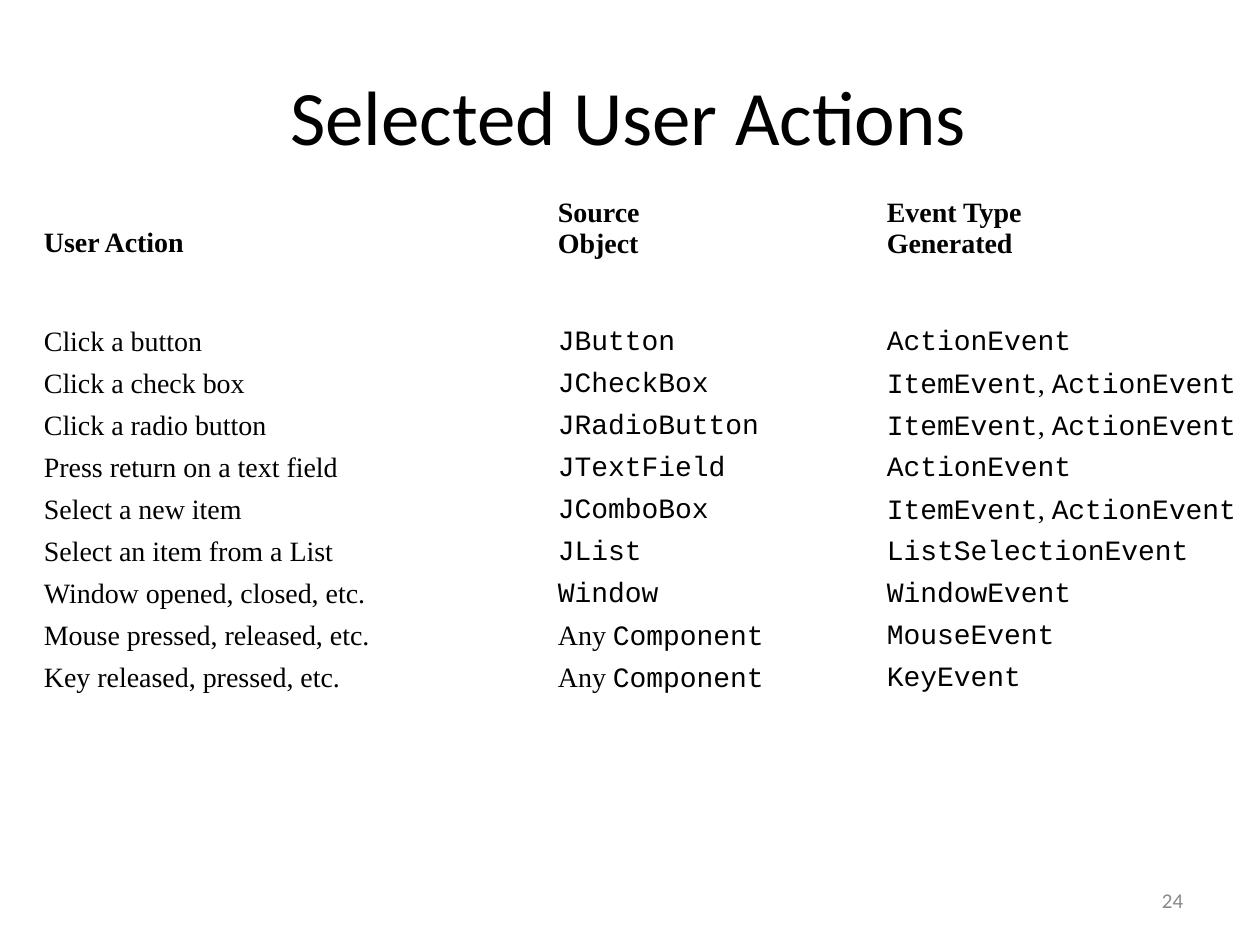
from pptx import Presentation
from pptx.dml.color import RGBColor
from pptx.enum.text import MSO_ANCHOR as Anchor, MSO_AUTO_SIZE as AutoSize, PP_ALIGN as Align
from pptx.util import Emu, Pt

PX = 914400 / 126
SERIF, MONO, SANS = "Times New Roman", "Courier New", "Calibri"
NO_STYLE = "{2D5ABB26-0587-4C30-8999-92F81FD0307C}"

HEADINGS = ["User Action", "Source\nObject", "Event Type\nGenerated"]
# Text between backticks is set as code
ACTIONS = [
    ("Click a button", "`JButton`", "`ActionEvent`"),
    ("Click a check box", "`JCheckBox`", "`ItemEvent`, `ActionEvent`"),
    ("Click a radio button", "`JRadioButton`", "`ItemEvent`, `ActionEvent`"),
    ("Press return on a text field", "`JTextField`", "`ActionEvent`"),
    ("Select a new item", "`JComboBox`", "`ItemEvent`, `ActionEvent`"),
    ("Select an item from a List", "`JList`", "`ListSelectionEvent`"),
    ("Window opened, closed, etc.", "`Window`", "`WindowEvent`"),
    ("Mouse pressed, released, etc.", "Any `Component`", "`MouseEvent`"),
    ("Key released, pressed, etc.", "Any `Component`", "`KeyEvent`"),
]
COLUMN_WIDTHS = [425, 360, 416]
COLUMN_INDENTS = [4, 93, 62]
ROW_HEIGHTS = [98, 72] + [42] * 7 + [38]


def px(length):
    return Emu(round(length * PX))


def color(hex_string):
    return RGBColor.from_string(hex_string)


def set_margins(target, left=0, top=0):
    margins = {"margin_left": left, "margin_top": top, "margin_right": 0, "margin_bottom": 0}
    for name, value in margins.items():
        setattr(target, name, px(value))


def add_run(paragraph, text, face, size, hex_string="000000", bold=False):
    run = paragraph.add_run()
    run.text = text
    for name, value in {"name": face, "size": Pt(size), "bold": bold}.items():
        setattr(run.font, name, value)
    run.font.color.rgb = color(hex_string)


def add_title(slide, left, top, width, height):
    title = slide.shapes.title
    title.left, title.top, title.width, title.height = map(px, (left, top, width, height))
    frame = title.text_frame
    set_margins(frame, left=167, top=1)
    frame.auto_size = AutoSize.NONE
    frame.vertical_anchor = Anchor.TOP
    heading = frame.paragraphs[0]
    heading.alignment = Align.LEFT
    add_run(heading, "Selected User Actions", SANS, 44)


def fill_cell(cell, text, indent, top, bold):
    cell.fill.background()
    cell.vertical_anchor = Anchor.TOP
    set_margins(cell, indent, top)
    lines = text.split("\n")
    for index, line in enumerate(lines):
        frame = cell.text_frame
        paragraph = frame.add_paragraph() if index else frame.paragraphs[0]
        if index < len(lines) - 1:
            paragraph.line_spacing = Pt(17.4)
        for part, words in enumerate(line.split("`")):
            if words:
                add_run(paragraph, words, MONO if part % 2 else SERIF, 16, bold=bold)


def add_actions_table(slide, left, top):
    rows = [HEADINGS] + ACTIONS
    frame = slide.shapes.add_table(
        len(rows), len(HEADINGS), px(left), px(top),
        px(sum(COLUMN_WIDTHS)), px(sum(ROW_HEIGHTS)))
    table = frame.table
    table.first_row = table.horz_banding = False
    table._tbl.tblPr.find("{*}tableStyleId").text = NO_STYLE
    for column, width in zip(table.columns, COLUMN_WIDTHS):
        column.width = px(width)
    for row, height in zip(table.rows, ROW_HEIGHTS):
        row.height = px(height)

    for r, texts in enumerate(rows):
        for c, text in enumerate(texts):
            # Single-line heading and first action sit lower in their rows
            if r == 0:
                cell_top = 0 if "\n" in text else 30
            else:
                cell_top = 31 if r == 1 else 1
            fill_cell(table.cell(r, c), text, COLUMN_INDENTS[c], cell_top, bold=r == 0)


def add_page_number(slide, left, top, width, height):
    frame = slide.shapes.add_textbox(*map(px, (left, top, width, height))).text_frame
    set_margins(frame, left=2)
    frame.word_wrap = True
    number = frame.paragraphs[0]
    number.line_spacing = Pt(12.4)
    add_run(number, "24", SANS, 12, "898989")


def main():
    deck = Presentation()
    deck.slide_width, deck.slide_height = px(1260), px(945)
    slide = deck.slides.add_slide(deck.slide_layouts[5])
    add_page_number(slide, 1160, 891, 30, 24)
    add_title(slide, 123, 68, 1012, 87)
    add_actions_table(slide, 40, 198)
    deck.save("out.pptx")


if __name__ == "__main__":
    main()
